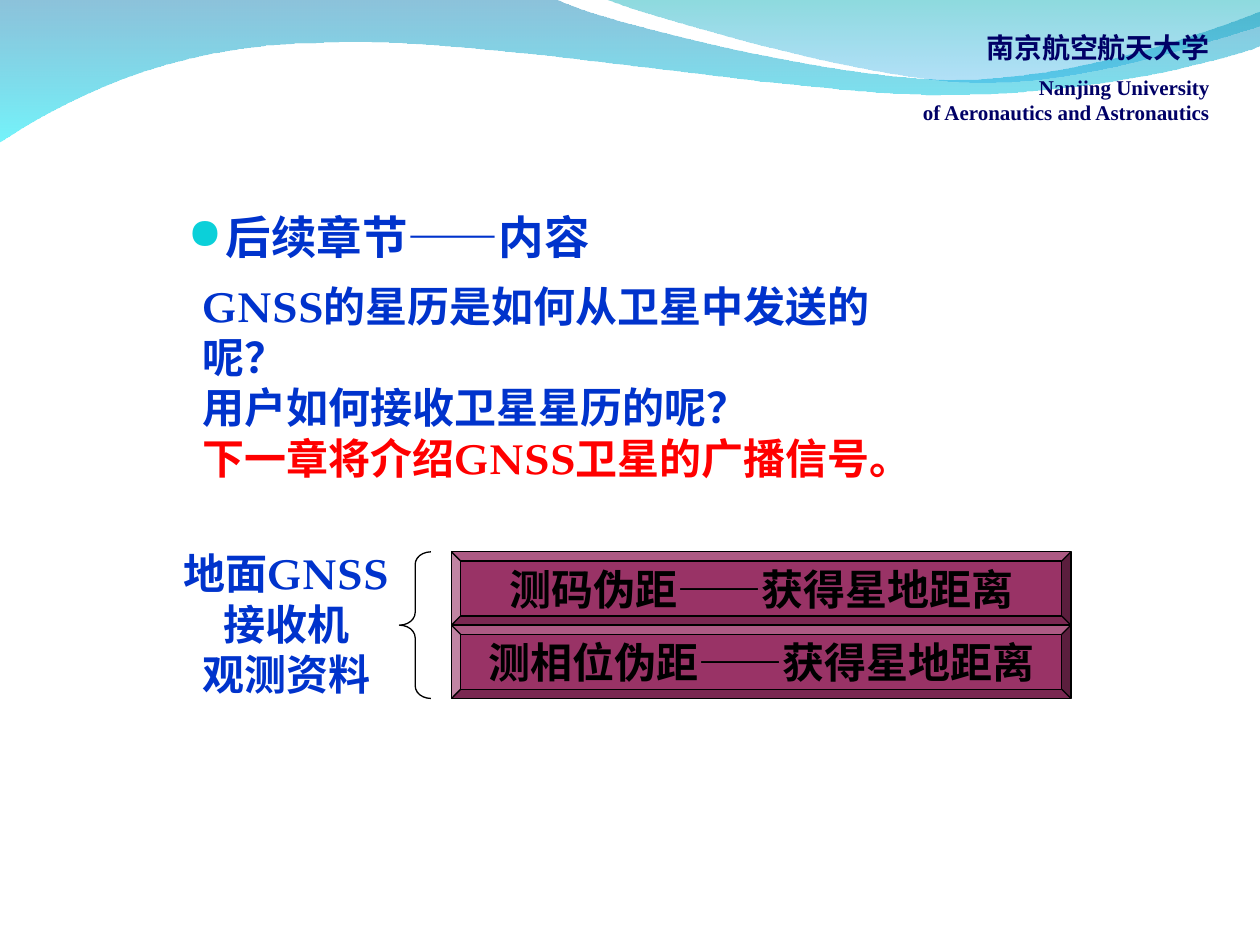
"""Build the closing slide of a GNSS chapter with a wave header and observation types."""
import lxml.etree
import pptx
import pptx.dml.color
import pptx.enum.shapes
import pptx.enum.text
import pptx.oxml.ns
import pptx.util

Pt = pptx.util.Pt
qn = pptx.oxml.ns.qn
ALIGN = pptx.enum.text.PP_ALIGN
ANCHOR = pptx.enum.text.MSO_ANCHOR
SHAPE = pptx.enum.shapes.MSO_SHAPE
COLOURS = {
    "navy": "000066", "blue": "0033CC", "red": "FF0000", "black": "000000",
    "plum": "993366", "bullet": "0BD0D9", "steel": "0079AF", "cyan": "00EBF8",
    "teal": "00ADB6", "sky": "009BE5",
}
BODY_FONT = "TeX Gyre Pagella"


def rgb(name):
    return pptx.dml.color.RGBColor.from_string(COLOURS[name])


def write_text(shape, lines, font_name, alignment, frame_format):
    frame = shape.text_frame
    for key, value in frame_format.items():
        setattr(frame, key, value)
    for index, (text, size, colour, space_after) in enumerate(lines):
        paragraph = frame.paragraphs[0] if index == 0 else frame.add_paragraph()
        paragraph.alignment = alignment
        paragraph.space_after = Pt(space_after)
        paragraph._p.get_or_add_pPr().set("hangingPunct", "0")
        run = paragraph.add_run()
        run.text = text
        font_format = {"name": font_name, "size": Pt(size), "bold": True}
        for key, value in font_format.items():
            setattr(run.font, key, value)
        run.font.color.rgb = rgb(colour)


presentation = pptx.Presentation()
presentation.slide_width, presentation.slide_height = Pt(720), Pt(540)
slide = presentation.slides.add_slide(presentation.slide_layouts[6])
shapes = slide.shapes

waves = [
    ((0, -0.72), [
        [(316.8, -0.72)],
        [(342.72, 12.24), (478.08, 45.36), (545.76, 45.36)],
        [(614.16, 45.36), (689.76, 18.72), (720, 6.48)],
        [(720.72, 25.92)],
        [(707.76, 31.68), (626.4, 54.72), (537.12, 54)],
        [(447.84, 54), (275.04, 20.16), (185.04, 24.48)],
        [(92.88, 25.2), (33.12, 59.76), (-0.72, 81.36)],
    ], [("steel", 45), ("cyan", 55)]),
    ((344.88, -0.72), [
        [(366.48, 7.92), (491.04, 44.64), (553.68, 46.8)],
        [(616.32, 49.68), (691.92, 23.04), (720, 15.12)],
        [(720, 0)],
    ], [("teal", 45), ("sky", 30)]),
]
for start, segments, stops in waves:
    builder = shapes.build_freeform(Pt(start[0]), Pt(start[1]), scale=1.0)
    builder.add_line_segments(
        [(Pt(segment[-1][0]), Pt(segment[-1][1])) for segment in segments], close=True)
    wave = builder.convert_to_shape()
    for element, segment in zip(list(wave._element.iter(qn("a:lnTo"))), segments):
        if len(segment) == 3:
            element.tag = qn("a:cubicBezTo")
            for position, (x, y) in enumerate(segment[:2]):
                control = lxml.etree.SubElement(
                    element, qn("a:pt"), x=str(Pt(x) - wave.left), y=str(Pt(y) - wave.top))
                element.insert(position, control)
    wave.shadow.inherit = False
    wave.line.fill.background()
    wave.fill.gradient()
    wave.fill.gradient_angle = 270
    for stop, (colour, opacity) in zip(wave.fill.gradient_stops, stops):
        stop.color.rgb = rgb(colour)
        colour_element = stop._gs.find(qn("a:srgbClr"))
        lxml.etree.SubElement(colour_element, qn("a:alpha"), val=str(opacity * 1000))

text_boxes = [
    ((518.4, 13.68, 180, 61.2), "Times New Roman", ALIGN.RIGHT, {"word_wrap": False}, [
        ("南京航空航天大学", 16, "navy", 6),
        ("Nanjing University", 12, "navy", 0),
        ("of Aeronautics and Astronautics", 12, "navy", 0),
    ]),
    ((107.28, 60.48, 504.72, 90), BODY_FONT, ALIGN.LEFT, {
        "word_wrap": True, "vertical_anchor": ANCHOR.BOTTOM,
        "margin_left": 0, "margin_right": 0, "margin_bottom": 0,
    }, [("后续章节——内容", 26, "blue", 0)]),
    ((97, 309.6, 133.2, 93.6), BODY_FONT, ALIGN.CENTER, {"word_wrap": True}, [
        ("地面GNSS", 24, "blue", 0),
        ("接收机", 24, "blue", 0),
        ("观测资料", 24, "blue", 0),
    ]),
    ((108.72, 156.96, 440, 93.6), BODY_FONT, ALIGN.LEFT, {"word_wrap": True}, [
        ("GNSS的星历是如何从卫星中发送的呢？", 24, "blue", 0),
        ("用户如何接收卫星星历的呢？", 24, "blue", 0),
        ("下一章将介绍GNSS卫星的广播信号。", 24, "red", 0),
    ]),
]
boxes = []
for bounds, font_name, alignment, frame_format, lines in text_boxes:
    box = shapes.add_textbox(*map(Pt, bounds))
    write_text(box, lines, font_name, alignment, frame_format)
    boxes.append(box)

heading_properties = boxes[1].text_frame.paragraphs[0]._p.get_or_add_pPr()
heading_properties.set("marL", str(Pt(21.6)))
heading_properties.set("indent", str(-Pt(21.6)))
bullet_colour = lxml.etree.SubElement(heading_properties, qn("a:buClr"))
lxml.etree.SubElement(bullet_colour, qn("a:srgbClr"), val=COLOURS["bullet"])
lxml.etree.SubElement(heading_properties, qn("a:buSzPct"), val="95000")
lxml.etree.SubElement(heading_properties, qn("a:buFont"), typeface="OpenSymbol")
lxml.etree.SubElement(heading_properties, qn("a:buChar"), char="●")

bar_top, bar_height = 315.36, 41.9
for row, text in enumerate(["测码伪距——获得星地距离", "测相位伪距——获得星地距离"]):
    bar = shapes.add_shape(
        SHAPE.BEVEL, Pt(258), Pt(bar_top + row * bar_height), Pt(354), Pt(bar_height))
    bar.shadow.inherit = False
    bar.adjustments[0] = 0.125
    bar.fill.solid()
    bar.fill.fore_color.rgb = rgb("plum")
    bar.line.color.rgb = rgb("black")
    bar.line.width = Pt(0.75)
    write_text(bar, [(text, 24, "black", 0)], BODY_FONT, ALIGN.CENTER,
               {"word_wrap": False, "vertical_anchor": ANCHOR.MIDDLE})

brace = shapes.add_shape(
    SHAPE.LEFT_BRACE, Pt(228.24), Pt(bar_top), Pt(18), Pt(2 * bar_height))
brace.shadow.inherit = False
brace.adjustments[0] = 0.4
brace.fill.background()
brace.line.color.rgb = rgb("black")
brace.line.width = Pt(0.75)

presentation.save("out.pptx")
